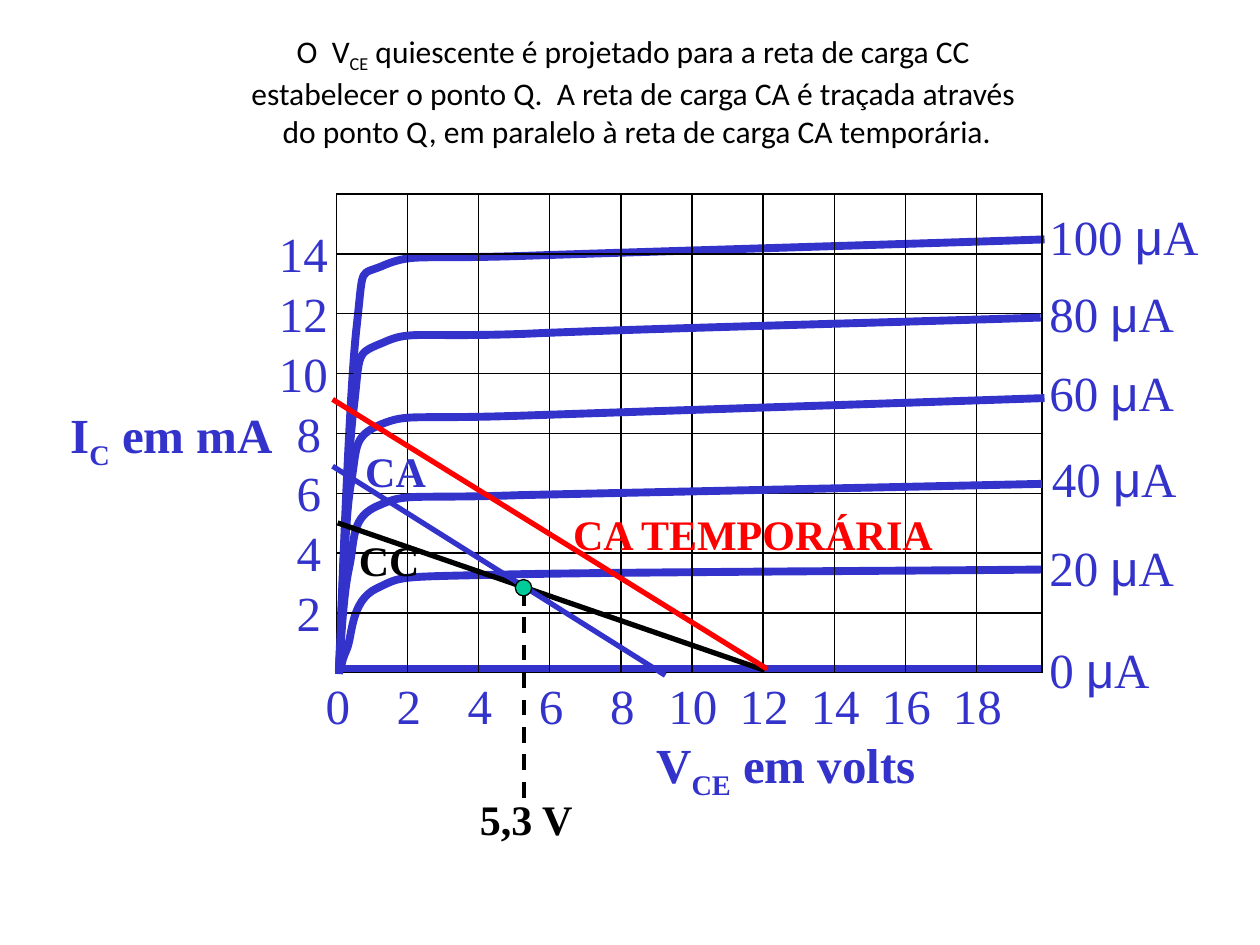
from lxml.etree import SubElement
from pptx import Presentation
from pptx.dml.color import RGBColor
from pptx.enum.dml import MSO_LINE as Dash
from pptx.enum.shapes import MSO_CONNECTOR as Link, MSO_SHAPE as Shape
from pptx.enum.text import MSO_ANCHOR as Anchor, MSO_AUTO_SIZE as Fit, PP_ALIGN as Align
from pptx.oxml.ns import qn
from pptx.util import Inches, Pt

BLUE, BLACK, RED, GREEN = "3333CC", "000000", "FF0000", "00CC99"
SERIF = "Times New Roman"
TITLE = [
    [("O  V", 0), ("CE", -25), (" quiescente é projetado para a reta de carga CC ", 0)],
    [("estabelecer o ponto Q.  A reta de carga CA é traçada através ", 0)],
    [("do ponto Q, em paralelo à reta de carga CA temporária.", 0)],
]
STEP_X, STEP_Y = 5.08 / 9, 3.8 / 8

# Base current: label offset (right, up), then Bezier points (right, up) from the origin
CURVES = {
    "20": ((5.56, 1.12), [
        (.04, .01), (.04, .03), (.03, .07), (.08, .18), (.13, .29), (.11, .57), (.32, .67),
        (.53, .77), (.45, .76), (1.33, .78), (2.21, .8), (4.71, .81), (5.6, .82)]),
    "0": ((5.56, .31), [(.02, .03), (5.6, .03)]),
    "100": ((5.56, 3.75), [
        (.02, .02), (.04, .48), (.1, 2.2), (.16, 2.74), (.22, 3.27), (.17, 3.14), (.39, 3.24),
        (.62, 3.33), (.64, 3.28), (1.51, 3.31), (2.38, 3.34), (4.76, 3.41), (5.62, 3.44)]),
    "80": ((5.56, 3.14), [
        (.02, .01), (.04, .36), (.08, 1.68), (.14, 2.12), (.19, 2.55), (.15, 2.53), (.37, 2.62),
        (.59, 2.72), (.61, 2.66), (1.48, 2.69), (2.35, 2.73), (4.74, 2.79), (5.59, 2.82)]),
    "60": ((5.56, 2.51), [
        (.02, .01), (.04, .25), (.06, 1.14), (.11, 1.47), (.17, 1.79), (.12, 1.87), (.35, 1.97),
        (.57, 2.06), (.58, 2.01), (1.46, 2.04), (2.34, 2.07), (4.75, 2.15), (5.62, 2.18)]),
    "40": ((5.58, 1.83), [
        (.02, -.01), (.03, .13), (.05, .61), (.1, .83), (.15, 1.06), (.11, 1.24), (.34, 1.33),
        (.56, 1.43), (.57, 1.38), (1.45, 1.41), (2.33, 1.43), (4.74, 1.48), (5.6, 1.5)]),
}


def rgb(code):
    return RGBColor.from_string(code)


def add_run(para, words, base=0, color=BLACK, **form):
    run = para.add_run()
    run.text = words
    for name, value in form.items():
        setattr(run.font, name, value)
    run.font.color.rgb = rgb(color)
    if base:
        run.font._element.set("baseline", str(base * 1000))


def label(shapes, box, parts, size=28, **form):
    """Place one line of text; each part is (words, extra format)."""
    frame = shapes.add_textbox(*map(Inches, box)).text_frame
    frame.word_wrap = False
    frame.auto_size = Fit.SHAPE_TO_FIT_TEXT
    for words, extra in parts:
        add_run(frame.paragraphs[0], words, **{"name": SERIF, "size": Pt(size), **form, **extra})


def line(shapes, start, end, color=BLACK, width=.75, dash=None):
    link = shapes.add_connector(Link.STRAIGHT, *map(Inches, (*start, *end)))
    link.line.color.rgb = rgb(color)
    link.line.width = Pt(width)
    if dash:
        link.line.dash_style = dash
    SubElement(link._element.spPr, qn("a:effectLst"))


def bend(shape):
    """Turn each three straight steps of an outline into one cubic curve."""
    steps = list(shape._element.iter(qn("a:lnTo")))
    for i in range(0, len(steps), 3):
        trio = steps[i:i + 3]
        trail = trio[0].getparent()
        cubic = SubElement(trail, qn("a:cubicBezTo"))
        for step in trio:
            cubic.append(step[0])
            trail.remove(step)


def curve(slide, box, name):
    shapes = slide.shapes.add_group_shape().shapes
    left, base = box[0], box[1] + box[3]
    (right, up), points = CURVES[name]
    spots = [(left + x, base - y) for x, y in points]
    if len(spots) == 2:
        line(shapes, *spots, BLUE, 4.5)
    else:
        spots = [(Inches(x), Inches(y)) for x, y in spots]
        pen = shapes.build_freeform(*spots[0])
        pen.add_line_segments(spots[1:], close=False)
        shape = pen.convert_to_shape()
        bend(shape)
        shape.shadow.inherit = False
        shape.fill.background()
        shape.line.color.rgb = rgb(BLUE)
        shape.line.width = Pt(4.5)
    parts = [(name + " ", {}), ("μ", {"name": "Arial"}), ("A", {})]
    label(shapes, (left + right, base - up, .8 + .2 * len(name), .52), parts, color=BLUE)


def grid(slide, box):
    shapes = slide.shapes.add_group_shape().shapes
    left, top, wide, high = box
    for x in [i * STEP_X for i in range(10)] + [wide]:
        line(shapes, (left + x, top), (left + x, top + high))
    for i in range(9):
        y = top + i * STEP_Y
        line(shapes, (left, y), (left + wide + .01, y))


def axes(slide, box):
    left, base = box[0], box[1] + box[3]

    def tick(value, x, y):
        wide = .19 + .2 * len(value)
        label(slide.shapes, (x - wide / 2, y, wide, .52), [(value, {})], color=BLUE)

    for i in range(10):
        tick(str(2 * i), left + .01 + i * STEP_X, base - .03)
    for i in range(1, 8):
        value = str(2 * i)
        tick(value, left - .18 - .04 * len(value), base - .29 - i * STEP_Y)
    for spot, name, sub, unit in (
        ((left + 2.44, base + .44, 2.33, .57), "V", "CE", " em volts"),
        ((left - 2.21, base - 2.18, 1.84, .52), "I", "C", " em mA"),
    ):
        parts = [(name, {}), (sub, {"base": -25}), (unit, {})]
        label(slide.shapes, spot, parts, color=BLUE, bold=True)


def loads(slide, box):
    """Load lines, the Q point and its projection."""
    shapes = slide.shapes
    left, base = box[0], box[1] + box[3]

    def at(x, up):
        return left + x, base - up

    line(shapes, at(.01, 1.19), at(3.4, .02), BLACK, 3)
    line(shapes, at(-.03, 2.17), at(3.42, .03), RED, 3)
    line(shapes, at(1.49, -.99), at(1.49, .68), BLACK, 2.25, Dash.DASH)
    line(shapes, at(-.03, 1.64), at(2.61, -.02), BLUE, 3)
    for words, spot, wide, color in (
        ("5,3 V", (1.04, -.91), .94, BLACK),
        ("CC", (.08, 1.15), .68, BLACK),
        ("CA", (.13, 1.85), .68, BLUE),
        ("CA TEMPORÁRIA", (1.78, 1.35), 3.16, RED),
    ):
        label(shapes, (*at(*spot), wide, .46), [(words, {})], 24, color=color, bold=True)
    dot = shapes.add_shape(Shape.OVAL, *map(Inches, (*at(1.42, .74), .13, .13)))
    dot.shadow.inherit = False
    dot.fill.solid()
    dot.fill.fore_color.rgb = rgb(GREEN)
    dot.line.color.rgb = rgb(BLACK)
    dot.line.width = Pt(.75)


def heading(slide, box):
    title = slide.shapes.title
    for name, value in zip(("left", "top", "width", "height"), box):
        setattr(title, name, Inches(value))
    frame = title.text_frame
    for name, value in {"word_wrap": True, "auto_size": Fit.SHAPE_TO_FIT_TEXT,
                        "vertical_anchor": Anchor.TOP}.items():
        setattr(frame, name, value)
    for i, row in enumerate(TITLE):
        para = frame.add_paragraph() if i else frame.paragraphs[0]
        para.alignment = Align.CENTER
        for words, base in row:
            add_run(para, words, base, name="Calibri", size=Pt(18))


def main():
    deck = Presentation()
    deck.slide_width, deck.slide_height = Inches(10), Inches(7.5)
    slide = deck.slides.add_slide(deck.slide_layouts[5])
    plot = (2.67, 1.54, 5.6, 3.8)
    heading(slide, (.67, .2, 8.77, 1.01))
    axes(slide, plot)
    for name in ("20", "0", "100"):
        curve(slide, plot, name)
    grid(slide, plot)
    for name in ("80", "60", "40"):
        curve(slide, plot, name)
    loads(slide, plot)
    deck.save("out.pptx")


if __name__ == "__main__":
    main()
